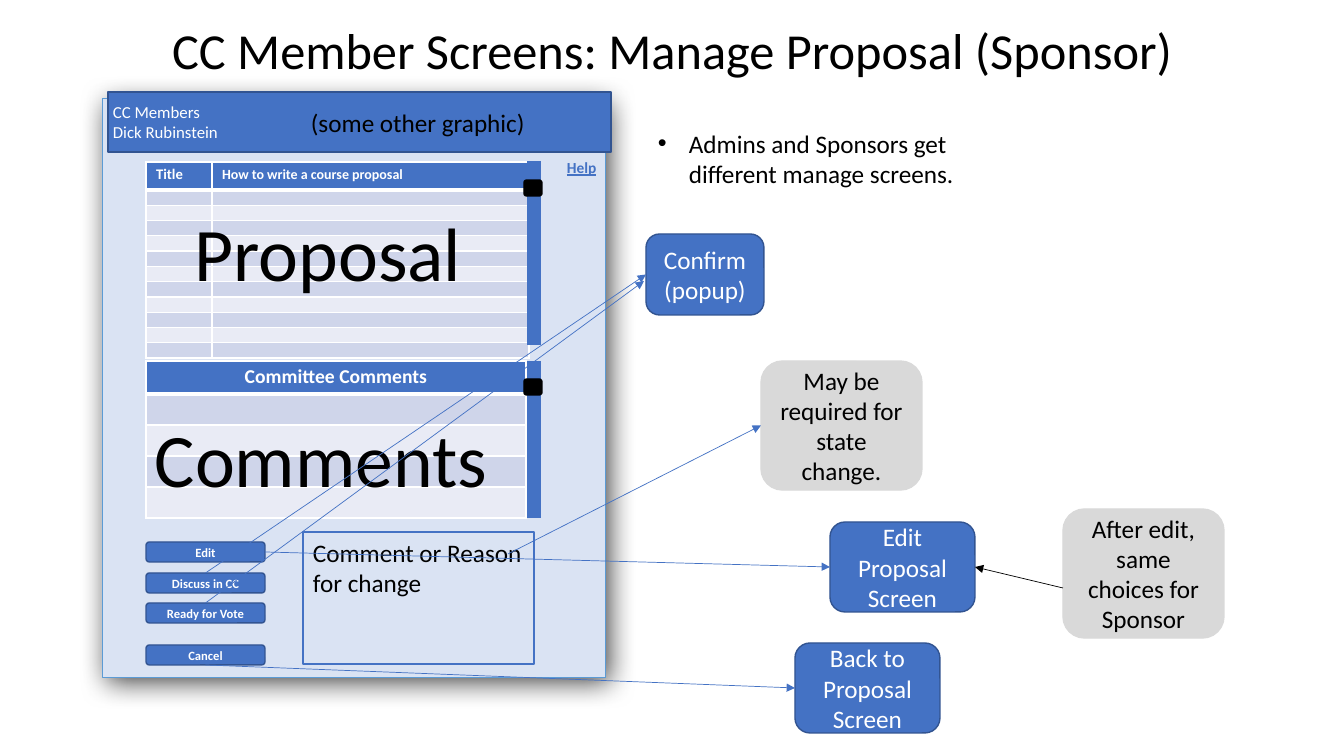
"""Build the annotated screen mock-up for managing a proposal as sponsor."""
from lxml import etree
from pptx import Presentation
from pptx import util as u
from pptx.dml.color import RGBColor
from pptx.enum import shapes, text
from pptx.oxml import ns

PX = 914400 / 100.8
FONT = "Calibri"
BLACK = RGBColor(0x00, 0x00, 0x00)
WHITE = RGBColor(0xFF, 0xFF, 0xFF)
BLUE = RGBColor(0x44, 0x72, 0xC4)
NAVY = RGBColor(0x32, 0x54, 0x91)
SKY = RGBColor(0x5B, 0x9B, 0xD5)
PALE = RGBColor(0xDA, 0xE3, 0xF3)
GREY = RGBColor(0xD9, 0xD9, 0xD9)
BANDS = RGBColor(0xE9, 0xEB, 0xF5), RGBColor(0xCF, 0xD5, 0xEA)
RECT = shapes.MSO_SHAPE.RECTANGLE
ROUND = shapes.MSO_SHAPE.ROUNDED_RECTANGLE
LEFT, CENTER = text.PP_ALIGN.LEFT, text.PP_ALIGN.CENTER
TOP, MIDDLE = text.MSO_ANCHOR.TOP, text.MSO_ANCHOR.MIDDLE
SITE_TOP, SITE_LEFT, SITE_BOTTOM, SITE_RIGHT = range(4)


def px(n):
    return u.Emu(round(n * PX))


def add_xml(parent, tag, **attrs):
    return etree.SubElement(parent, ns.qn(tag), {k: str(v) for k, v in attrs.items()})


def put_text(tf, words, size=18, color=BLACK, bold=False, underline=False,
             align=LEFT, anchor=TOP, wrap=True, spacing=None, bullet=False):
    tf.word_wrap = wrap
    tf.auto_size = text.MSO_AUTO_SIZE.NONE
    tf.vertical_anchor = anchor
    for i, line in enumerate(words.split("\n")):
        p = tf.add_paragraph() if i else tf.paragraphs[0]
        p.alignment = align
        p.line_spacing = spacing
        if bullet:
            pPr = p._p.get_or_add_pPr()
            pPr.set("marL", str(px(31)))
            pPr.set("indent", str(-px(31)))
            add_xml(pPr, "a:buFont", typeface="Arial")
            add_xml(pPr, "a:buChar", char="•")
        r = p.add_run()
        r.text = line
        r.font.name, r.font.size = FONT, u.Pt(size)
        r.font.bold, r.font.underline = bold, underline
        r.font.color.rgb = color


class Screen:
    """Hold the mock-up style and the current slide."""

    def __init__(self, prs):
        self.s = prs.slides.add_slide(prs.slide_layouts[5])

    def title(self, words, x, y, w, h):
        sp = self.s.shapes.title
        sp.left, sp.top, sp.width, sp.height = map(px, (x, y, w, h))
        put_text(sp.text_frame, words, size=36, align=CENTER, anchor=MIDDLE, spacing=0.9)

    def label(self, words, x, y, w, h, **fmt):
        sp = self.s.shapes.add_textbox(*map(px, (x, y, w, h)))
        put_text(sp.text_frame, words, **fmt)

    def box(self, x, y, w, h, kind=ROUND, fill=BLUE, line=NAVY, weight=1, words="", **fmt):
        sp = self.s.shapes.add_shape(kind, *map(px, (x, y, w, h)))
        sp.shadow.inherit = False
        if fill is None:
            sp.fill.background()
        else:
            sp.fill.solid()
            sp.fill.fore_color.rgb = fill
        sp.line.color.rgb, sp.line.width = line, u.Pt(weight)
        if words:
            put_text(sp.text_frame, words, **{"align": CENTER, "anchor": MIDDLE, **fmt})
        return sp

    def panel(self, x, y, w, h):
        sp = self.box(x, y, w, h, kind=RECT, fill=PALE, line=SKY, weight=0.5)
        effects = sp._element.spPr.find(ns.qn("a:effectLst"))
        shadow = add_xml(effects, "a:outerShdw", blurRad=u.Pt(20), dist=u.Pt(5),
                         dir=50 * 60000, algn="ctr", rotWithShape=0)
        add_xml(add_xml(shadow, "a:srgbClr", val=BLACK), "a:alpha", val=72000)

    def line(self, start, end, color=BLUE, weight=0.5, arrow=True):
        glued = [not isinstance(point[0], int) for point in (start, end)]
        x1, y1 = (0, 0) if glued[0] else start
        x2, y2 = (0, 0) if glued[1] else end
        cx = self.s.shapes.add_connector(shapes.MSO_CONNECTOR.STRAIGHT,
                                         *map(px, (x1, y1, x2, y2)))
        if glued[0]:
            cx.begin_connect(*start)
        if glued[1]:
            cx.end_connect(*end)
        cx.line.color.rgb, cx.line.width = color, u.Pt(weight)
        if arrow:
            add_xml(cx.line._get_or_add_ln(), "a:tailEnd", type="triangle")
        add_xml(cx._element.spPr, "a:effectLst")

    def scrollbar(self, x, y1, y2, thumb_y):
        self.line((x, y1), (x, y2), weight=10, arrow=False)
        self.box(x - 10, thumb_y, 18, 16, fill=BLACK, line=BLACK)

    def table(self, x, y, widths, heights, heads, **fmt):
        frame = self.s.shapes.add_table(len(heights), len(widths), *map(
            px, (x, y, sum(widths), sum(heights))))
        table = frame.table
        for col, width in zip(table.columns, widths):
            col.width = px(width)
        for i, height in enumerate(heights):
            table.rows[i].height = px(height)
            for j, head in enumerate(heads):
                self.cell(table.cell(i, j), i, head, **fmt)

    def cell(self, cell, row, head, sizes, **fmt):
        tcPr = cell._tc.get_or_add_tcPr()
        for side in "LRTB":
            heavy = (row, side) in ((0, "B"), (1, "T"))
            ln = add_xml(tcPr, "a:ln" + side, w=u.Pt(3 if heavy else 1))
            add_xml(add_xml(ln, "a:solidFill"), "a:srgbClr", val=WHITE)
        cell.fill.solid()
        cell.fill.fore_color.rgb = BLUE if row == 0 else BANDS[row % 2]
        cell.margin_top = cell.margin_bottom = px(4 if row == 0 else 0)
        if row == 0:
            put_text(cell.text_frame, head, size=sizes[head], color=WHITE, bold=True, **fmt)
        else:
            add_xml(cell.text_frame.paragraphs[0]._p, "a:endParaRPr", sz=500)


prs = Presentation()
prs.slide_width, prs.slide_height = px(1344), px(756)
screen = Screen(prs)
screen.title("CC Member Screens: Manage Proposal (Sponsor)", 93, 40, 1159, 26)
screen.panel(102, 98, 503, 579)
screen.label("Help", 557, 153, 114, 29, size=11, color=BLUE, bold=True, underline=True)
screen.label("Admins and Sponsors get different manage screens.", 648, 123, 371, 72,
             bullet=True)

screen.box(108, 92, 503, 60, kind=RECT)
screen.label("CC Members\nDick Rubinstein", 103, 92, 221, 60, size=12, color=WHITE,
             anchor=MIDDLE)
screen.label("(some other graphic)", 301, 102, 247, 40)

screen.table(146, 162, [66, 317], [28] + [15.3] * 11,
             ["Title", "How to write a course proposal"],
             sizes={"Title": 10.5, "How to write a course proposal": 10})
screen.scrollbar(534, 161, 345, 180)
screen.label("Proposal", 183, 201, 290, 102, size=54, align=CENTER, wrap=False)
screen.table(146, 361, [380], [33] + [31] * 4, ["Committee Comments"],
             sizes={"Committee Comments": 14}, align=CENTER)
screen.scrollbar(534, 361, 518, 379)
screen.label("Comments", 143, 407, 356, 102, size=54, align=CENTER, wrap=False)

edit, discuss, ready, cancel = [
    screen.box(146, y, 119, 20, words=words, size=9, color=WHITE, bold=True)
    for words, y in (("Edit", 542), ("Discuss in CC", 573),
                     ("Ready for Vote", 603), ("Cancel", 645))]
screen.box(303, 532, 231, 132, kind=RECT, fill=None, line=BLUE, weight=2,
           words="Comment or Reason for change", align=LEFT, anchor=TOP)

confirm, edit_screen, back_screen = [
    screen.box(*place, words=words, color=WHITE)
    for words, place in (("Confirm\n(popup)", (646, 234, 118, 81)),
                         ("Edit Proposal Screen", (830, 522, 145, 90)),
                         ("Back to Proposal Screen", (795, 643, 145, 90)))]
required_note, after_note = [
    screen.box(x, y, 161, 129, fill=GREY, line=GREY, words=words)
    for words, x, y in (("May be required for state change.", 761, 361),
                        ("After edit, same choices for Sponsor", 1063, 509))]

screen.line((cancel, SITE_BOTTOM), (back_screen, SITE_LEFT))
screen.line((508, 554), (required_note, SITE_LEFT))
screen.line((discuss, SITE_TOP), (confirm, SITE_LEFT))
screen.line((edit, SITE_RIGHT), (edit_screen, SITE_LEFT))
screen.line((ready, SITE_TOP), (644, 281))
screen.line((1063, 588), (edit_screen, SITE_RIGHT), color=BLACK)
prs.save("out.pptx")
